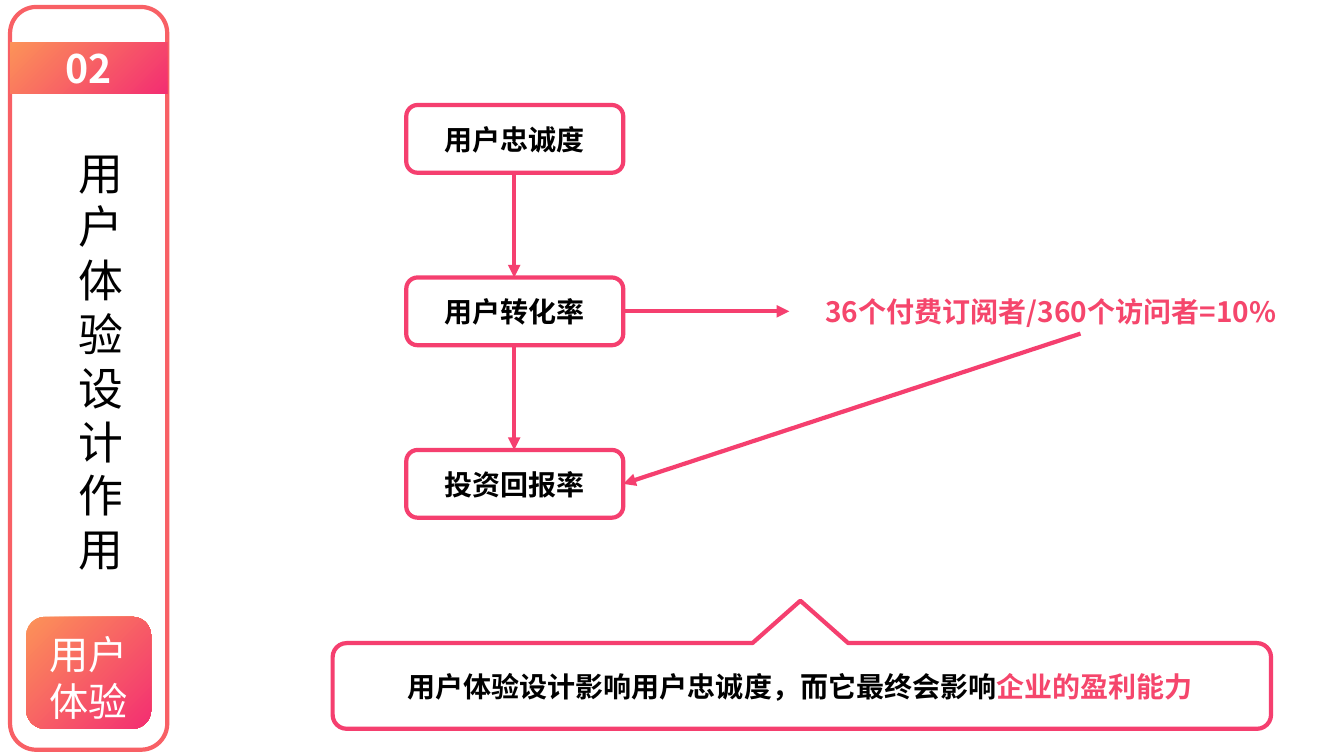
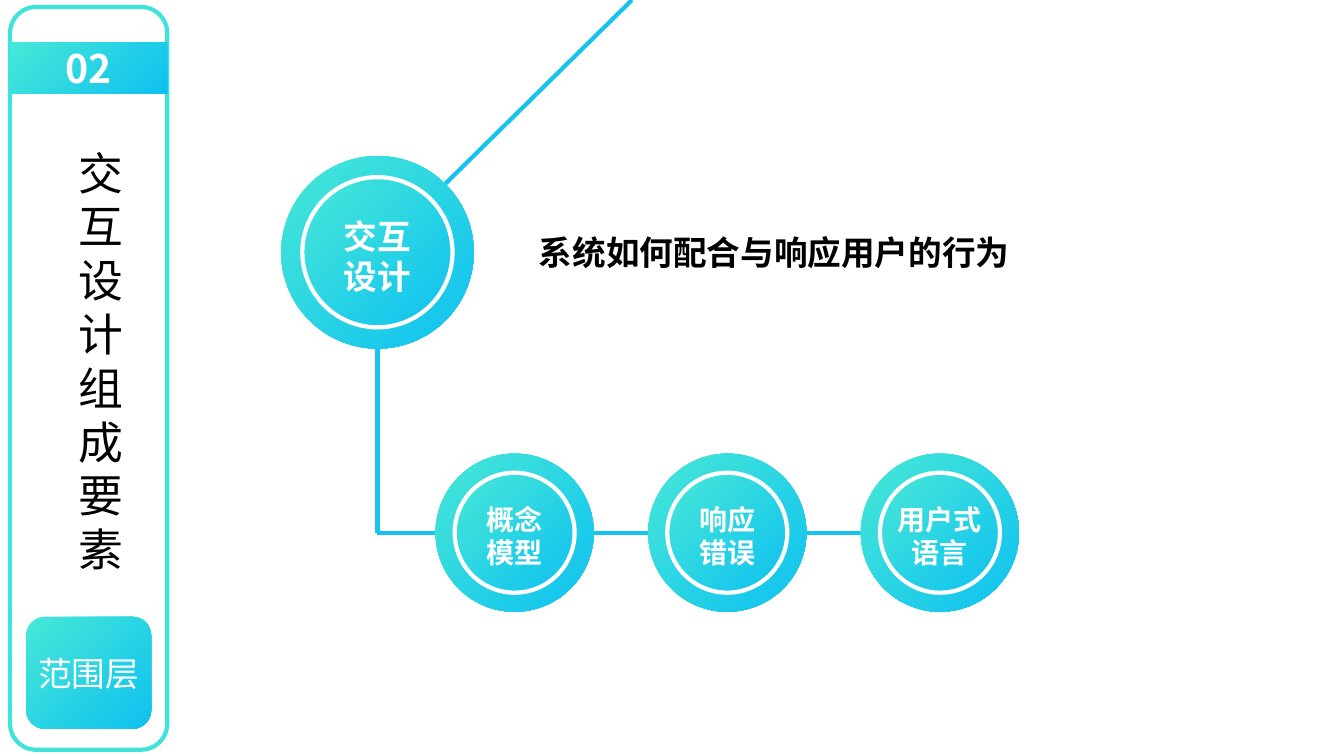
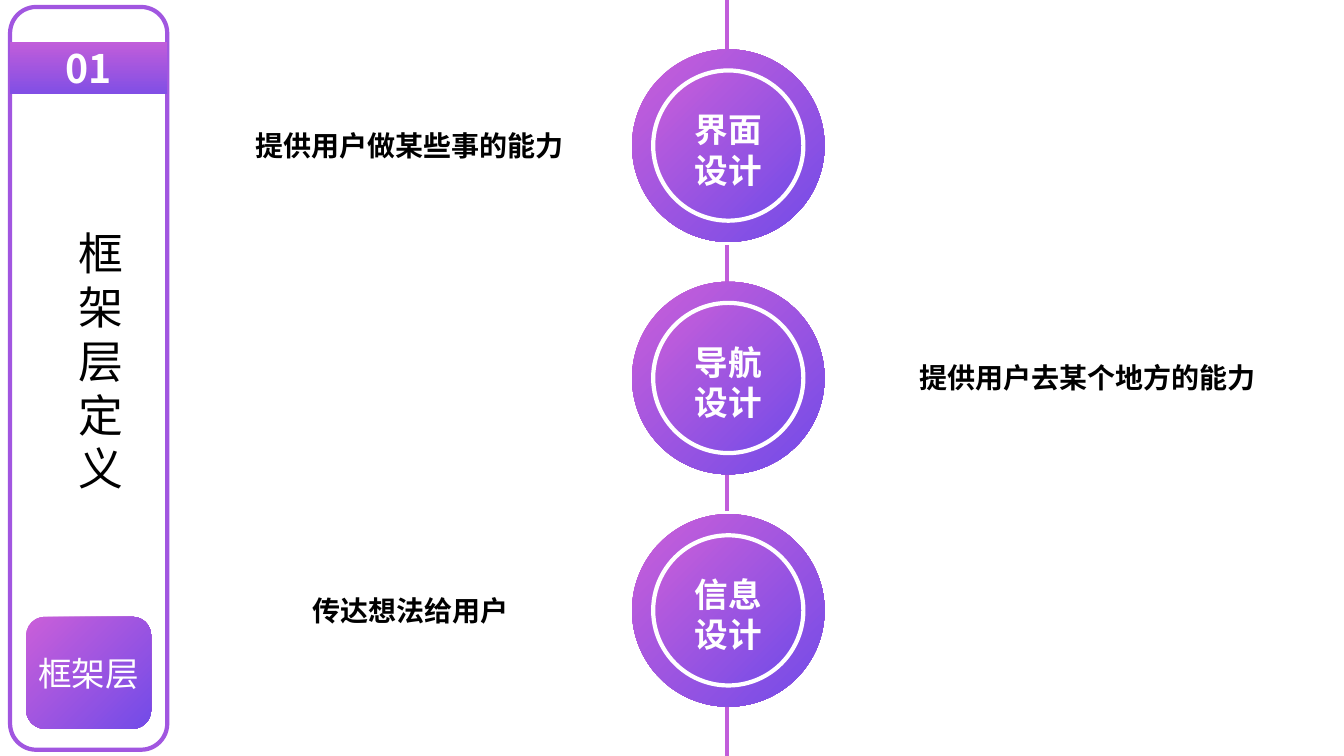
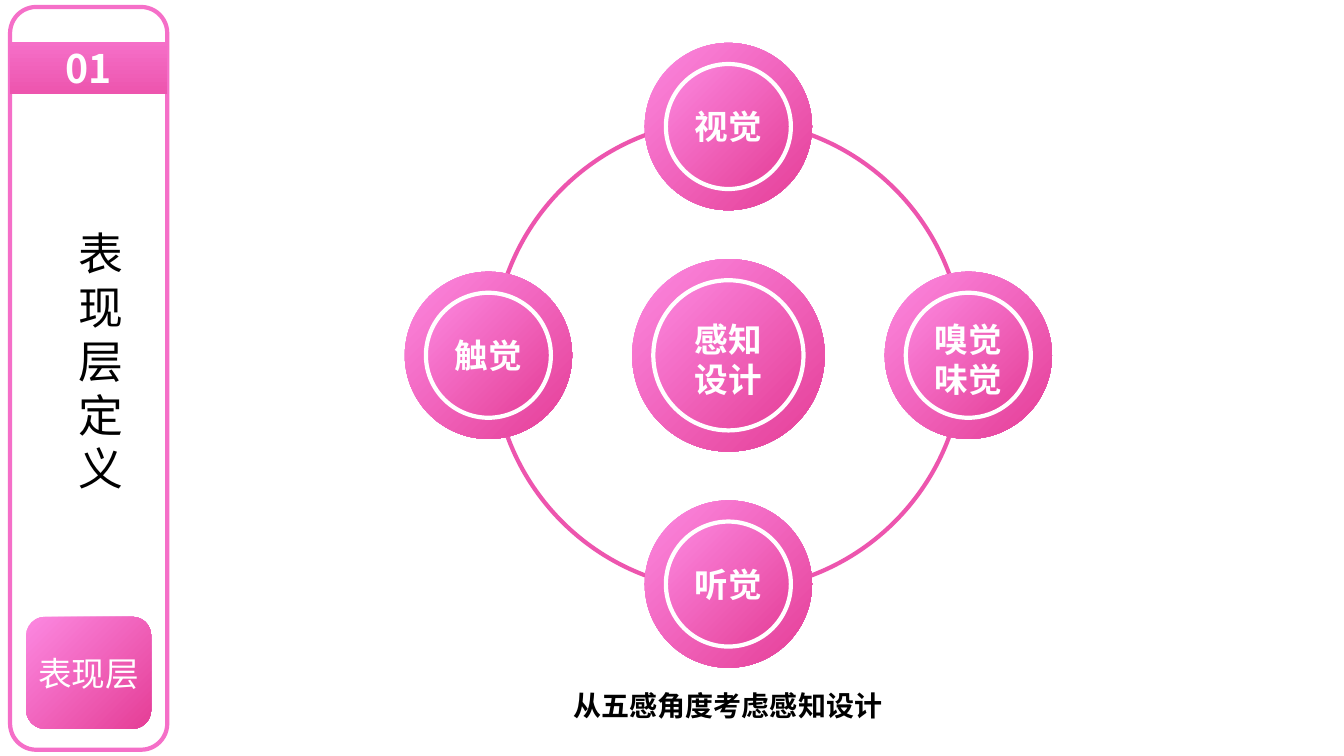
import dataclasses
import math

import lxml.etree
import pptx
import pptx.dml.color
import pptx.enum.shapes
import pptx.enum.text
import pptx.oxml.ns
import pptx.util

Pt = pptx.util.Pt
RGB = pptx.dml.color.RGBColor
SHAPE = pptx.enum.shapes.MSO_SHAPE
ALIGN = pptx.enum.text.PP_ALIGN
qn = pptx.oxml.ns.qn

FONT = "Noto Sans CJK SC"
LINE_WIDTH = 3
LINE_PITCH = 1.2
PITCH_SHIFT = 0.23
DIAGONAL = 315
DOWNWARD = 270

WHITE = RGB(0xFF, 0xFF, 0xFF)
BLACK = RGB(0x00, 0x00, 0x00)
ROSE = RGB(0xF5, 0x3F, 0x6F)
ROSE_TEXT = RGB(0xF5, 0x46, 0x6C)
SKY = RGB(0x14, 0xC4, 0xEE)
ORCHID = RGB(0xC1, 0x5D, 0xDA)
PINK = RGB(0xED, 0x55, 0xAE)


@dataclasses.dataclass
class Theme:
    frame: RGB
    fill: tuple
    band: tuple
    band_angle: int


WARM_FILL = (RGB(0xFC, 0x93, 0x58), RGB(0xF3, 0x2E, 0x72))
AQUA_FILL = (RGB(0x46, 0xE8, 0xD7), RGB(0x0F, 0xC1, 0xF0))
VIOLET_FILL = (RGB(0xCA, 0x5F, 0xD9), RGB(0x72, 0x4B, 0xE8))
PINK_FILL = (RGB(0xFC, 0x88, 0xE1), RGB(0xE5, 0x3E, 0x96))

WARM = Theme(RGB(0xF8, 0x60, 0x65), WARM_FILL, WARM_FILL, DIAGONAL)
AQUA = Theme(RGB(0x3F, 0xE3, 0xDA), AQUA_FILL, AQUA_FILL, DIAGONAL)
VIOLET = Theme(RGB(0xA1, 0x56, 0xE0), VIOLET_FILL,
               (ORCHID, RGB(0x81, 0x4F, 0xE5)), DOWNWARD)
BLOSSOM = Theme(RGB(0xF5, 0x6F, 0xC8), PINK_FILL,
                (RGB(0xF5, 0x6F, 0xC8), PINK), DOWNWARD)


def paint(shape, fill=None, line=None, angle=DIAGONAL):
    shape.shadow.inherit = False
    if fill is None:
        shape.fill.background()
    elif isinstance(fill, RGB):
        shape.fill.solid()
        shape.fill.fore_color.rgb = fill
    else:
        shape.fill.gradient()
        shape.fill.gradient_angle = angle
        for stop, color in zip(shape.fill.gradient_stops, fill):
            stop.color.rgb = color
    if line is None:
        shape.line.fill.background()
    else:
        shape.line.color.rgb = line
        shape.line.width = Pt(LINE_WIDTH)


def add_block(slide, kind, box, fill=None, line=None, angle=DIAGONAL):
    block = slide.shapes.add_shape(kind, *map(Pt, box))
    paint(block, fill, line, angle)
    return block


def write(shape, text, size, color, bold=True, align=ALIGN.CENTER, stacked=False):
    frame = shape.text_frame
    frame.word_wrap = "\n" not in text
    frame.vertical_anchor = pptx.enum.text.MSO_ANCHOR.MIDDLE
    frame.text = text
    if stacked:
        frame.margin_top = Pt(3.6 + PITCH_SHIFT * size)
    for paragraph in frame.paragraphs:
        paragraph.alignment = align
        if stacked:
            paragraph.line_spacing = Pt(LINE_PITCH * size)
        font = paragraph.font
        font.name = FONT
        font.size = Pt(size)
        font.bold = bold
        font.color.rgb = color
        lxml.etree.SubElement(font._element, qn("a:ea")).set("typeface", FONT)


def add_label(slide, box, text, size=20, color=BLACK, **style):
    label = slide.shapes.add_textbox(*map(Pt, box))
    write(label, text, size, color, **style)
    return label


def add_line(slide, start, end, color, arrow=False):
    line = slide.shapes.add_connector(
        pptx.enum.shapes.MSO_CONNECTOR.STRAIGHT, *map(Pt, (*start, *end)))
    line.line.color.rgb = color
    line.line.width = Pt(LINE_WIDTH)
    properties = line._element.spPr
    if arrow:
        outline = properties.find(qn("a:ln"))
        lxml.etree.SubElement(outline, qn("a:tailEnd")).set("type", "triangle")
    lxml.etree.SubElement(properties, qn("a:effectLst"))


def add_medallion(slide, center, outer, inner, text, size, fill):
    def disc(diameter, line=None):
        corner = [middle - diameter / 2 for middle in center]
        return add_block(slide, SHAPE.OVAL, (*corner, diameter, diameter), fill, line)

    disc(outer)
    write(disc(inner, WHITE), text, size, WHITE, stacked=len(text) > 2)


def add_large_medallion(slide, center, text, fill):
    add_medallion(slide, center, 137.5, 107.3, text, 24, fill)


def add_sidebar(slide, theme, number, title, layer, layer_size=24):
    add_block(slide, SHAPE.ROUNDED_RECTANGLE, (7.2, 5, 112.3, 530.6), WHITE, theme.frame)
    add_label(slide, (49, 95, 28, 317.6), title, 32, bold=False, stacked=True)
    badge = add_block(slide, SHAPE.ROUNDED_RECTANGLE, (18.7, 440.6, 89.3, 80), theme.fill)
    write(badge, layer, layer_size, WHITE, bold=False, stacked=len(layer) > 3)
    badge.text_frame.margin_left = badge.text_frame.margin_right = 0
    band = add_block(slide, SHAPE.RECTANGLE, (7.2, 30.2, 112.3, 36.7),
                     theme.band, angle=theme.band_angle)
    write(band, number, 28, WHITE)


def add_callout(slide, left, top, right, bottom, peak, notch_half, radius):
    peak_x, peak_y = peak
    corners = [(right - radius, top + radius, -90), (right - radius, bottom - radius, 0),
               (left + radius, bottom - radius, 90), (left + radius, top + radius, 180)]
    outline = [(peak_x + notch_half, top)]
    for x, y, first in corners:
        for degrees in range(first, first + 91, 15):
            turn = math.radians(degrees)
            outline.append((x + radius * math.cos(turn), y + radius * math.sin(turn)))
    outline.append((peak_x - notch_half, top))
    builder = slide.shapes.build_freeform(Pt(peak_x), Pt(peak_y))
    builder.add_line_segments([(Pt(x), Pt(y)) for x, y in outline], close=True)
    paint(builder.convert_to_shape(), WHITE, ROSE)


def build_value_slide(slide):
    add_callout(slide, 237.6, 459.4, 907.9, 520.6, (571.7, 429.1), 34.2, 10)
    conclusion = add_label(slide, (253.4, 474.5, 636.5, 31.7),
                           "用户体验设计影响用户忠诚度，而它最终会影响")
    emphasis = conclusion.text_frame.paragraphs[0].add_run()
    emphasis.text = "企业的盈利能力"
    emphasis.font.color.rgb = ROSE_TEXT

    left, top, width, height, step = 290.2, 75, 155, 48.4, 123.2
    steps = ["用户忠诚度", "用户转化率", "投资回报率"]
    tops = [top + step * index for index in range(len(steps))]
    for step_top, text in zip(tops, steps):
        box = add_block(slide, SHAPE.ROUNDED_RECTANGLE,
                        (left, step_top, width, height), WHITE, ROSE)
        write(box, text, 20, BLACK)
    for upper, lower in zip(tops, tops[1:]):
        add_line(slide, (367.3, upper + height), (367.3, lower), ROSE, arrow=True)
    right = left + width
    rate_y, return_y = [y + height / 2 for y in tops[1:]]
    add_line(slide, (right, rate_y), (563.8, rate_y), ROSE, arrow=True)
    add_label(slide, (582.5, 206.6, 377, 31.7), "36个付费订阅者/360个访问者=10%",
              color=ROSE_TEXT, align=ALIGN.LEFT)
    add_line(slide, (771.8, 238.3), (right, return_y), ROSE, arrow=True)
    add_sidebar(slide, WARM, "02", "用户体验设计作用", "用户体验", 28)


def build_interaction_slide(slide):
    hub = (269.6, 180.2)
    parts = ["概念模型", "响应错误", "用户式\n语言"]
    row_y = 380.5
    centers = [(367.6 + 151.9 * index, row_y) for index in range(len(parts))]
    corner = (hub[0], row_y)
    add_line(slide, hub, corner, SKY)
    for start, end in zip([corner] + centers, centers):
        add_line(slide, start, end, SKY)
    add_line(slide, (307.4, 141.8), (451.4, 0), SKY)
    add_sidebar(slide, AQUA, "02", "交互设计组成要素", "范围层")
    for center, text in zip(centers, parts):
        add_medallion(slide, center, 113, 85.7, text, 20, AQUA.fill)
    add_label(slide, (373.7, 159.8, 358.6, 40.3), "系统如何配合与响应用户的行为", 24)
    add_large_medallion(slide, hub, "交互设计", AQUA.fill)


def build_framework_slide(slide):
    for start, end in [(0, 67.7), (175, 216), (324, 365), (472.3, 540)]:
        add_line(slide, (519.1, start), (519.1, end), ORCHID)
    add_sidebar(slide, VIOLET, "01", "框架层定义", "框架层")
    designs = [("界面设计", "提供用户做某些事的能力", 292.6),
               ("导航设计", "提供用户去某个地方的能力", 776.9),
               ("信息设计", "传达想法给用户", 293)]
    for index, (design, purpose, purpose_x) in enumerate(designs):
        y = 104 + 166 * index
        add_large_medallion(slide, (520.2, y), design, VIOLET.fill)
        add_label(slide, (purpose_x - 129, y - 16, 258, 31.7), purpose)


def build_perception_slide(slide):
    x, y, ring = 520.3, 253.8, 336.2
    reach_x, reach_y = 171.4, 163.4
    add_sidebar(slide, BLOSSOM, "01", "表现层定义", "表现层")
    add_large_medallion(slide, (x, y), "感知设计", BLOSSOM.fill)
    add_block(slide, SHAPE.OVAL, (x - ring / 2, y - ring / 2, ring, ring), line=PINK)
    senses = [("嗅觉\n味觉", 1, 0), ("视觉", 0, -1), ("触觉", -1, 0), ("听觉", 0, 1)]
    for sense, across, down in senses:
        center = (x + reach_x * across, y + reach_y * down)
        add_medallion(slide, center, 119.5, 89.3, sense, 24, BLOSSOM.fill)
    add_label(slide, (391, 488.2, 258, 31.7), "从五感角度考虑感知设计")


def main():
    deck = pptx.Presentation()
    deck.slide_width, deck.slide_height = Pt(960), Pt(540)
    for build in (build_value_slide, build_interaction_slide,
                  build_framework_slide, build_perception_slide):
        build(deck.slides.add_slide(deck.slide_layouts[6]))
    deck.save("out.pptx")


if __name__ == "__main__":
    main()
